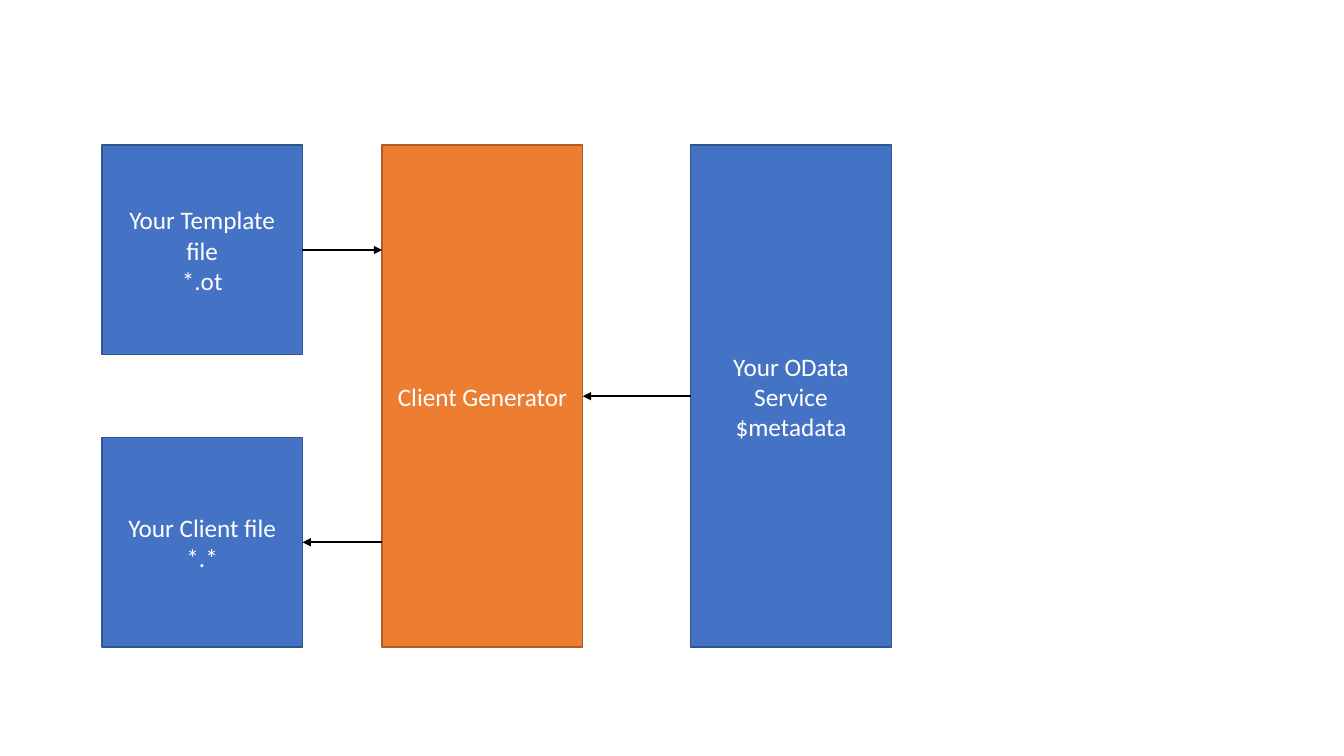
from dataclasses import dataclass

from lxml import etree
from pptx import Presentation
from pptx import util as u
from pptx.dml.color import RGBColor
from pptx.enum import shapes, text
from pptx.oxml import ns


@dataclass(frozen=True)
class Theme:
    """Colours, type and measures of the diagram, lengths in inches."""
    blue: str = "4472C4"
    blue_edge: str = "325491"
    orange: str = "ED7D31"
    orange_edge: str = "AF5C24"
    white: str = "FFFFFF"
    black: str = "000000"
    font: str = "Calibri"
    size: float = 18
    edge: float = 1
    arrow: float = 1.5
    columns: tuple = (1.01, 3.79, 6.85)
    width: float = 1.99
    top: float = 1.44
    height: float = 4.98
    file_height: float = 2.08


THEME = Theme()
LEFT_SIDE, RIGHT_SIDE = 1, 3


def add_box(page, column, top, height, lines, fill, edge):
    """Add a filled rectangle in a column with one paragraph per line."""
    box = page.shapes.add_shape(
        shapes.MSO_SHAPE.RECTANGLE, u.Inches(THEME.columns[column]),
        u.Inches(top), u.Inches(THEME.width), u.Inches(height))
    box.shadow.inherit = False
    box.fill.solid()
    box.fill.fore_color.rgb = RGBColor.from_string(fill)
    box.line.color.rgb = RGBColor.from_string(edge)
    box.line.width = u.Pt(THEME.edge)
    frame = box.text_frame
    frame.word_wrap = True
    frame.vertical_anchor = text.MSO_ANCHOR.MIDDLE
    for index, line in enumerate(lines):
        para = frame.add_paragraph() if index else frame.paragraphs[0]
        para.alignment = text.PP_ALIGN.CENTER
        span = para.add_run()
        span.text = line
        span.font.name = THEME.font
        span.font.size = u.Pt(THEME.size)
        span.font.color.rgb = RGBColor.from_string(THEME.white)
    return box


def add_arrow(page, start_x, end_x, y):
    """Add a level arrow that points at its end."""
    arrow = page.shapes.add_connector(
        shapes.MSO_CONNECTOR.STRAIGHT, start_x, y, end_x, y)
    arrow.line.color.rgb = RGBColor.from_string(THEME.black)
    arrow.line.width = u.Pt(THEME.arrow)
    etree.SubElement(arrow.line._get_or_add_ln(), ns.qn("a:tailEnd"), type="triangle")
    etree.SubElement(arrow._element.spPr, ns.qn("a:effectLst"))
    return arrow


def right_of(box):
    """Return the right edge of a box."""
    return box.left + box.width


def middle_of(box):
    """Return the vertical middle of a box."""
    return box.top + box.height // 2


def main():
    """Build the client generator diagram and save it."""
    deck = Presentation()
    deck.slide_width, deck.slide_height = u.Inches(13.33), u.Inches(7.5)
    page = deck.slides.add_slide(deck.slide_layouts[6])
    blue = (THEME.blue, THEME.blue_edge)
    orange = (THEME.orange, THEME.orange_edge)
    client_top = THEME.top + THEME.height - THEME.file_height

    client = add_box(page, 0, client_top, THEME.file_height,
                     ["Your Client file", "*.*"], *blue)
    generator = add_box(page, 1, THEME.top, THEME.height,
                        ["Client Generator"], *orange)
    template = add_box(page, 0, THEME.top, THEME.file_height,
                       ["Your Template file", "*.ot"], *blue)
    service = add_box(page, 2, THEME.top, THEME.height,
                      ["Your OData Service", "$metadata"], *blue)

    reading = add_arrow(page, right_of(template), generator.left, middle_of(template))
    reading.begin_connect(template, RIGHT_SIDE)
    writing = add_arrow(page, generator.left, right_of(client), middle_of(client))
    writing.end_connect(client, RIGHT_SIDE)
    metadata = add_arrow(page, service.left, right_of(generator), middle_of(service))
    metadata.begin_connect(service, LEFT_SIDE)
    metadata.end_connect(generator, RIGHT_SIDE)

    deck.save("out.pptx")


main()
